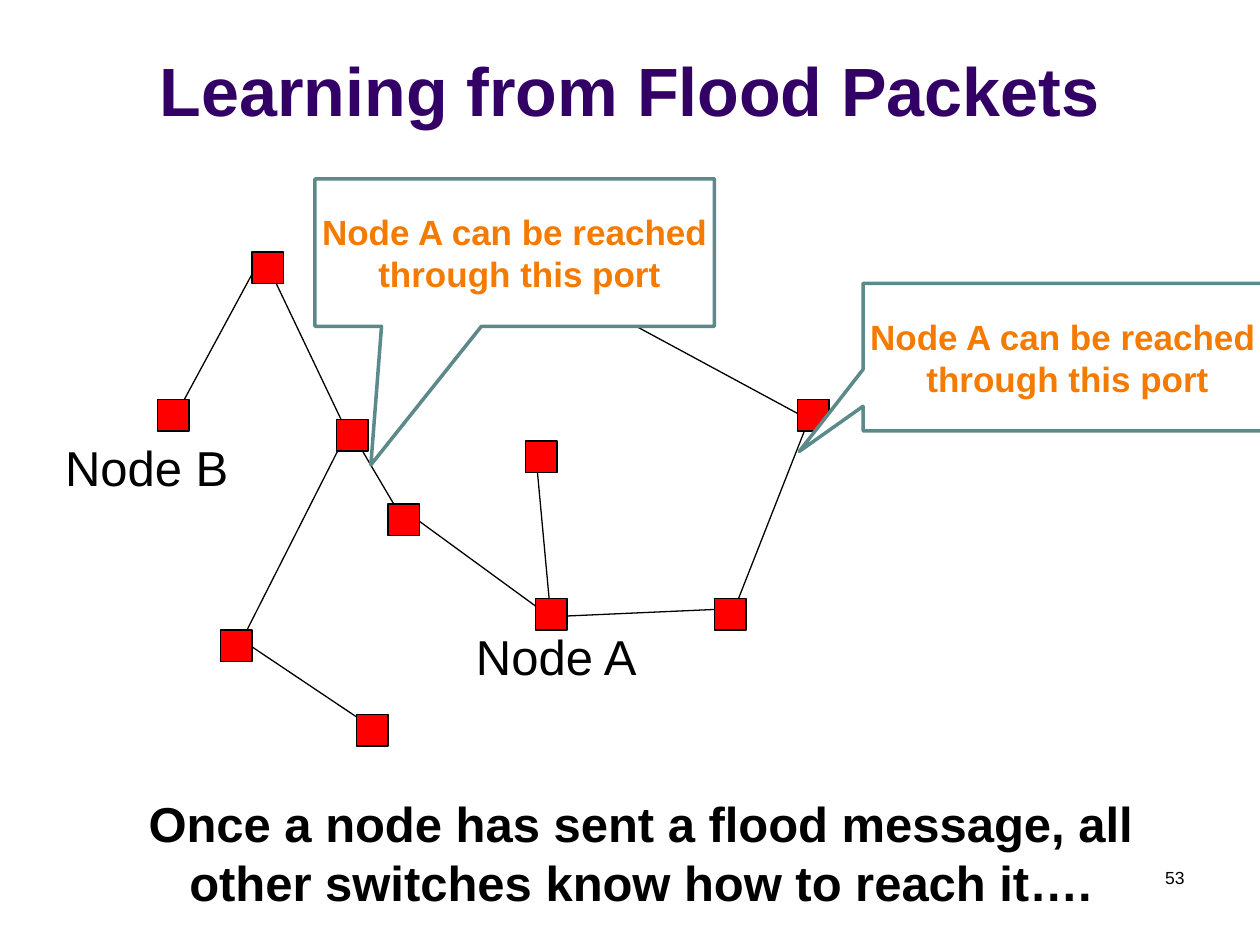
from lxml import etree
from pptx import Presentation
from pptx.dml.color import RGBColor
from pptx.enum import shapes, text
from pptx.oxml.ns import qn
from pptx.util import Inches, Pt

FONT = "Arial"
NODE_SIZE = 0.25

# Top left corner of each switch
NODES = [
    (2.67, 3.33), (3.08, 4), (1.75, 5), (2, 2), (1.25, 3.17), (2.83, 5.67),
    (4.25, 4.75), (5.67, 4.75), (4.17, 3.5), (6.33, 3.17), (4.25, 2.17),
]
# Start and end point of each link
LINKS = [
    ((2.14, 2.14), (2.75, 3.42)),
    ((2.02, 2.14), (1.42, 3.25)),
    ((2.83, 3.5), (3.19, 4.11)),
    ((4.42, 2.25), (6.42, 3.33)),
    ((6.42, 3.33), (5.83, 4.83)),
    ((1.92, 5.08), (2.92, 5.75)),
    ((3.25, 4.08), (4.36, 4.89)),
    ((5.83, 4.83), (4.48, 4.89)),
    ((4.25, 3.58), (4.36, 4.77)),
    ((1.92, 5.08), (2.69, 3.56)),
]
PORT_NOTE = ["Node A can be reached", " through this port"]


def rgb(color):
    return RGBColor.from_string(color)


def write(frame, lines, size, color="000000", bold=False,
          align=text.PP_ALIGN.CENTER, anchor=text.MSO_ANCHOR.TOP, wrap=True):
    frame.word_wrap = wrap
    frame.vertical_anchor = anchor
    frame.text = "\n".join(lines)
    for paragraph in frame.paragraphs:
        paragraph.alignment = align
        font = paragraph.font
        font.name, font.size, font.bold = FONT, Pt(size), bold
        font.color.rgb = rgb(color)


def add_label(slide, box, content, size, **style):
    label = slide.shapes.add_textbox(*map(Inches, box))
    write(label.text_frame, [content], size, **style)


def add_outlined(slide, preset, box, fill, line, width):
    shape = slide.shapes.add_shape(preset, *map(Inches, box))
    shape.shadow.inherit = False
    shape.fill.solid()
    shape.fill.fore_color.rgb = rgb(fill)
    shape.line.color.rgb = rgb(line)
    shape.line.width = Pt(width)
    return shape


def add_node(slide, left, top):
    add_outlined(slide, shapes.MSO_SHAPE.RECTANGLE,
                 (left, top, NODE_SIZE, NODE_SIZE), "FF0000", "000000", 0.75)


def add_link(slide, start, end):
    link = slide.shapes.add_connector(
        shapes.MSO_CONNECTOR.STRAIGHT, *map(Inches, start + end))
    link.line.color.rgb = rgb("000000")
    link.line.width = Pt(0.75)
    etree.SubElement(link._element.spPr, qn("a:effectLst"))


def add_callout(slide, left, top, tip):
    """Tip is the pointer's offset from the centre, as shares of the size."""
    callout = add_outlined(slide, shapes.MSO_SHAPE.RECTANGULAR_CALLOUT,
                           (left, top, 3.17, 1.17), "FFFFFF", "5C8A8A", 2)
    callout.adjustments[0], callout.adjustments[1] = tip
    write(callout.text_frame, PORT_NOTE, 20, color="F47A00", bold=True,
          anchor=text.MSO_ANCHOR.MIDDLE, wrap=False)


def main():
    deck = Presentation()
    deck.slide_width, deck.slide_height = Inches(10), Inches(7.5)
    slide = deck.slides.add_slide(deck.slide_layouts[6])

    add_label(slide, (0, 0.13, 10, 0.95), "Learning from Flood Packets", 39,
              color="330066", bold=True, anchor=text.MSO_ANCHOR.BOTTOM)
    add_label(slide, (7.17, 6.83, 2.33, 0.5), "53", 10,
              align=text.PP_ALIGN.RIGHT)

    for start, end in LINKS:
        add_link(slide, start, end)
    for left, top in NODES:
        add_node(slide, left, top)

    add_label(slide, (3, 4.92, 2.83, 0.57), "Node A", 28)
    add_callout(slide, 6.85, 2.25, (-0.66, 0.64))
    add_callout(slide, 2.5, 1.42, (-0.36, 1.44))
    add_label(slide, (0.75, 6.25, 8.67, 1.04),
              "Once a node has sent a flood message, all other switches "
              "know how to reach it….", 28, bold=True)
    add_label(slide, (-0.25, 3.42, 2.83, 0.57), "Node B", 28)

    deck.save("out.pptx")


if __name__ == "__main__":
    main()
